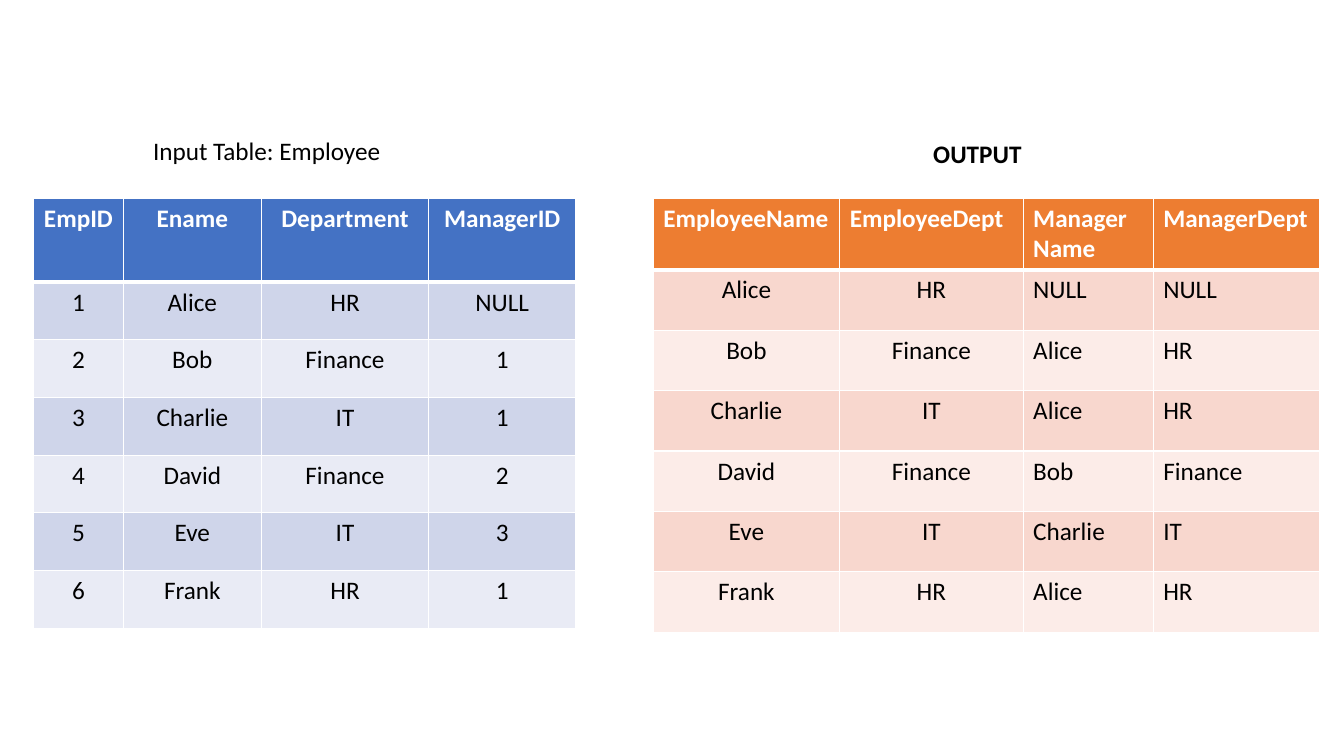
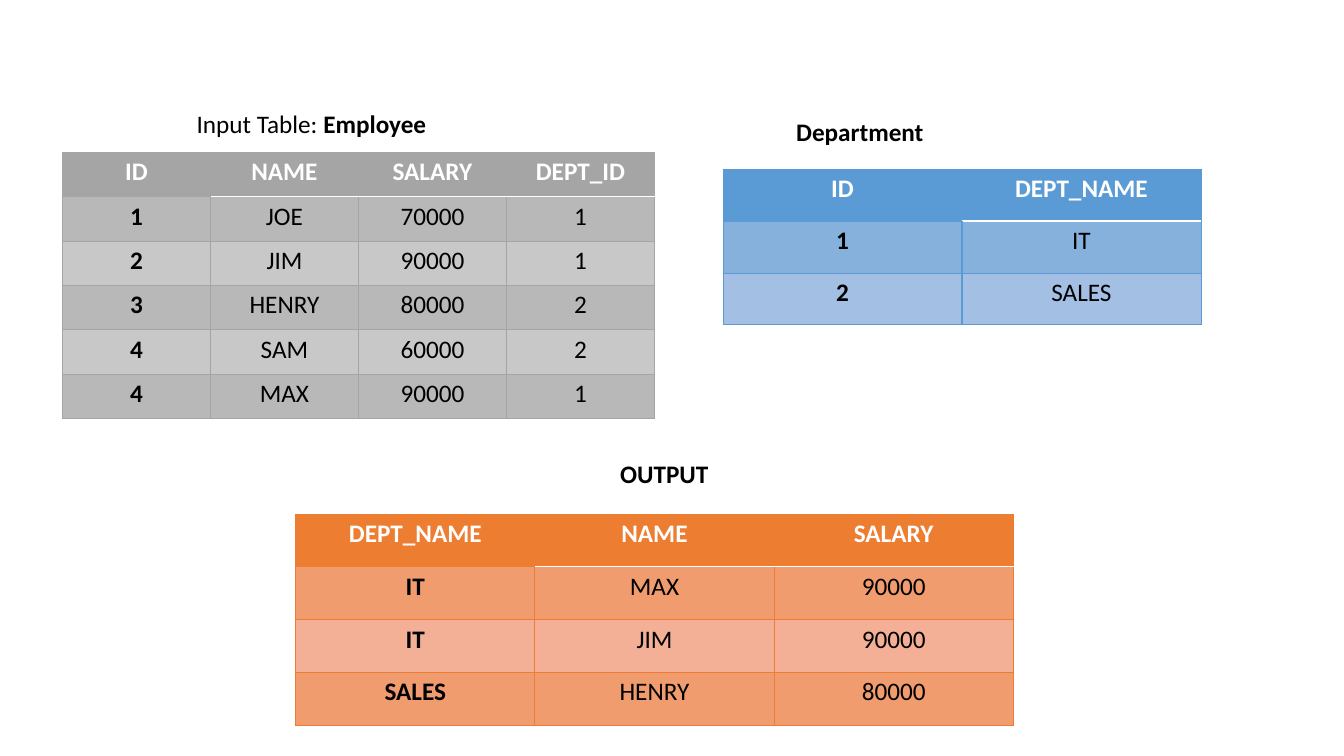
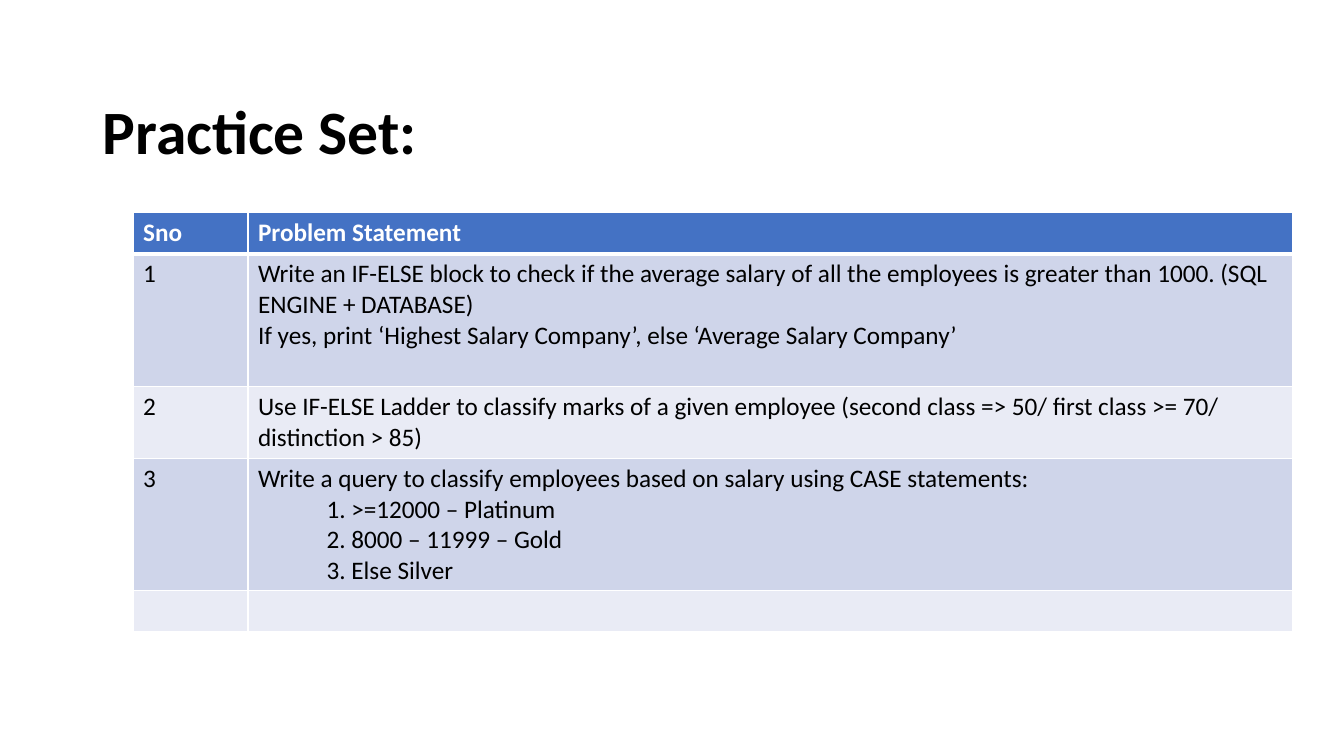
import dataclasses

import pptx
import pptx.dml.color
import pptx.enum.text
import pptx.oxml.ns
import pptx.util
from lxml import etree

ALIGN = pptx.enum.text.PP_ALIGN
ANCHOR = pptx.enum.text.MSO_ANCHOR
AUTO_SIZE = pptx.enum.text.MSO_AUTO_SIZE
Pt = pptx.util.Pt
Inches = pptx.util.Inches


@dataclasses.dataclass(frozen=True)
class Look:
    """Colours and spacing of one kind of table."""
    head: str
    bands: tuple
    line: str
    line_pt: float
    head_line_pt: float
    row_heads: bool = False
    cell: dict = dataclasses.field(default_factory=dict)
    para: dict = dataclasses.field(default_factory=dict)


# Tables with row headings are set tight, with open line spacing
ROW_HEADED = dict(
    line_pt=0.5, head_line_pt=1, row_heads=True,
    cell=dict(margin_left=Inches(0.07), margin_right=Inches(0.07),
              margin_top=0, margin_bottom=0),
    para=dict(line_spacing=1.15, space_after=Pt(8)))
WHITE_LINED = dict(line="FFFFFF", line_pt=1, head_line_pt=3)


@dataclasses.dataclass(frozen=True)
class Theme:
    font: str = "Calibri"
    text: str = "000000"
    light: str = "FFFFFF"
    body_pt: int = 18
    title_pt: int = 44
    blue: Look = Look("4472C4", ("CFD5EA", "E9EBF5"), **WHITE_LINED)
    orange: Look = Look("ED7D31", ("F8D7CE", "FCECE8"), **WHITE_LINED)
    grey_rows: Look = Look("A5A5A5", ("B8B8B8", "C8C8C8"), "A5A5A5", **ROW_HEADED)
    blue_rows: Look = Look("5B9BD5", ("86B1DC", "A3C0E4"), "5B9BD5", **ROW_HEADED)
    orange_rows: Look = Look("ED7D31", ("F09C6F", "F4B096"), "ED7D31", **ROW_HEADED)


THEME = Theme()
SLIDE_W, SLIDE_H = Inches(13.33), Inches(7.5)
CAPTION_W, CAPTION_H = 22.95, 5.33


# Shared helpers
def place(left, top, width, height):
    """Turn percentages of the slide's size into lengths."""
    return [int(share * full / 100) for share, full in
            zip((left, top, width, height), (SLIDE_W, SLIDE_H) * 2)]


def rgb(code):
    return pptx.dml.color.RGBColor.from_string(code)


def apply(target, values):
    for name, value in values.items():
        setattr(target, name, value)


def add_run(p, text, bold=False, color=THEME.text, size=THEME.body_pt):
    r = p.add_run()
    r.text = text
    apply(r.font, dict(name=THEME.font, size=Pt(size), bold=bold))
    r.font.color.rgb = rgb(color)


# Text boxes
def add_caption(slide, left, top, *runs):
    """Add a one-line caption; each run is (text, bold)."""
    tf = slide.shapes.add_textbox(*place(left, top, CAPTION_W, CAPTION_H)).text_frame
    apply(tf, dict(word_wrap=True, auto_size=AUTO_SIZE.SHAPE_TO_FIT_TEXT))
    for text, bold in runs:
        add_run(tf.paragraphs[0], text, bold)


def add_title(slide, text):
    tf = slide.shapes.add_textbox(*place(6.9, 12.8, 86.25, 10.13)).text_frame
    apply(tf, dict(word_wrap=True, vertical_anchor=ANCHOR.MIDDLE))
    p = tf.paragraphs[0]
    p.line_spacing = 0.9
    add_run(p, text, True, size=THEME.title_pt)


# Tables
def set_border(cell, side, color, width):
    qn = pptx.oxml.ns.qn
    ln = etree.SubElement(cell._tc.get_or_add_tcPr(), qn(f"a:ln{side}"),
                          w=str(int(Pt(width))))
    fill = etree.SubElement(ln, qn("a:solidFill"))
    etree.SubElement(fill, qn("a:srgbClr"), val=color)


def draw_borders(cell, row, col, look):
    plain = (look.line, look.line_pt)
    under_head = plain if look.row_heads and col == 0 else (THEME.light, look.head_line_pt)
    beside_heads = (look.line, 1) if look.row_heads and row else plain
    edges = dict(L=beside_heads if col == 1 else plain,
                 R=beside_heads if col == 0 else plain,
                 T=under_head if row == 1 else plain,
                 B=under_head if row == 0 else plain)
    for side, (color, width) in edges.items():
        set_border(cell, side, color, width)


def fill_cell(cell, content, align, color, bold, look):
    """Write a string, or a list of strings and (text, indent) pairs."""
    apply(cell, look.cell)
    tf = cell.text_frame
    for i, item in enumerate(content if isinstance(content, list) else [content]):
        text, indent = item if isinstance(item, tuple) else (item, 0)
        p = tf.add_paragraph() if i else tf.paragraphs[0]
        apply(p, look.para)
        p.alignment = ALIGN.CENTER if align == "c" else ALIGN.LEFT
        if indent:
            p._p.get_or_add_pPr().set("marL", str(int(indent * SLIDE_W / 100)))
        if text:
            add_run(p, text, bold, color)


def add_table(slide, box, look, rows, aligns, head_aligns=None,
              col_shares=None, row_shares=None):
    """Add a table; column and row shares divide the box, equally by default."""
    n_rows, n_cols = len(rows), len(rows[0])
    left, top, width, height = place(*box)
    table = slide.shapes.add_table(n_rows, n_cols, left, top, width, height).table
    for tracks, shares, name, full in (
            (table.columns, col_shares or [1] * n_cols, "width", width),
            (table.rows, row_shares or [1] * n_rows, "height", height)):
        for track, share in zip(tracks, shares):
            setattr(track, name, int(full * share / sum(shares)))
    for i, row in enumerate(rows):
        for j, content in enumerate(row):
            cell = table.cell(i, j)
            head = i == 0
            align = (head_aligns or aligns)[j] if head else aligns[j]
            fill_cell(cell, content, align, THEME.light if head else THEME.text,
                      head or (look.row_heads and j == 0), look)
            draw_borders(cell, i, j, look)
            cell.fill.solid()
            cell.fill.fore_color.rgb = rgb(look.head if head else look.bands[(i - 1) % 2])


# Slides
def build_manager_slide(slide):
    add_table(slide, (2.5, 26.2, 40.35, 56.93), THEME.blue, [
        ("EmpID", "Ename", "Department", "ManagerID"),
        ("1", "Alice", "HR", "NULL"),
        ("2", "Bob", "Finance", "1"),
        ("3", "Charlie", "IT", "1"),
        ("4", "David", "Finance", "2"),
        ("5", "Eve", "IT", "3"),
        ("6", "Frank", "HR", "1"),
    ], "cccc", col_shares=(0.89, 1.37, 1.66, 1.46), row_shares=[0.83] + [0.57] * 6)
    add_table(slide, (48.6, 26.2, 49.58, 57.33), THEME.orange, [
        ("EmployeeName", "EmployeeDept", "Manager Name", "ManagerDept"),
        ("Alice", "HR", "NULL", "NULL"),
        ("Bob", "Finance", "Alice", "HR"),
        ("Charlie", "IT", "Alice", "HR"),
        ("David", "Finance", "Bob", "Finance"),
        ("Eve", "IT", "Charlie", "IT"),
        ("Frank", "HR", "Alice", "HR"),
    ], "ccll", "llll", (1.85, 1.82, 1.29, 1.65), [0.7] + [0.6] * 6)
    add_caption(slide, 10.65, 17.3, ("Input Table: Employee", False))
    add_caption(slide, 68.7, 17.7, ("OUTPUT", True))


def build_salary_slide(slide):
    add_caption(slide, 13.9, 13.7, ("Input Table: ", False), ("Employee", True))
    add_caption(slide, 45.4, 59.9, ("OUTPUT", True))
    add_table(slide, (4.65, 20.1, 44.05, 35.3), THEME.grey_rows, [
        ("ID", "NAME", "SALARY", "DEPT_ID"),
        ("1", "JOE", "70000", "1"),
        ("2", "JIM", "90000", "1"),
        ("3", "HENRY", "80000", "2"),
        ("4", "SAM", "60000", "2"),
        ("4", "MAX", "90000", "1"),
    ], "cccc")
    add_table(slide, (53.8, 22.4, 35.55, 20.55), THEME.blue_rows, [
        ("ID", "DEPT_NAME"),
        ("1", "IT"),
        ("2", "SALES"),
    ], "cc")
    add_caption(slide, 58.5, 14.7, ("Department", True))
    add_table(slide, (22, 68, 53.4, 27.9), THEME.orange_rows, [
        ("DEPT_NAME", "NAME", "SALARY"),
        ("IT", "MAX", "90000"),
        ("IT", "JIM", "90000"),
        ("SALES", "HENRY", "80000"),
    ], "ccc")


def build_practice_slide(slide):
    add_title(slide, "Practice Set:")
    grades = ("1. >=12000 – Platinum", "2. 8000 – 11999 – Gold", "3. Else Silver")
    add_table(slide, (9.9, 28.1, 86.25, 55.47), THEME.blue, [
        ("Sno", "Problem Statement"),
        ("1", ["Write an IF-ELSE block to check if the average salary of all the "
               "employees is greater than 1000. (SQL ENGINE + DATABASE)",
               "If yes, print ‘Highest Salary Company’, else ‘Average Salary Company’"]),
        ("2", "Use IF-ELSE Ladder to classify marks of a given employee "
              "(second class => 50/ first class >= 70/ distinction > 85)"),
        ("3", ["Write a query to classify employees based on salary using CASE statements:"]
              + [(grade, 5.1) for grade in grades]),
        ("", ""),
    ], "ll", col_shares=(1.14, 10.36), row_shares=(0.41, 1.32, 0.71, 1.31, 0.41))


def main():
    prs = pptx.Presentation()
    apply(prs, dict(slide_width=SLIDE_W, slide_height=SLIDE_H))
    blank = prs.slide_layouts[6]
    for build in (build_manager_slide, build_salary_slide, build_practice_slide):
        build(prs.slides.add_slide(blank))
    prs.save("out.pptx")


if __name__ == "__main__":
    main()
